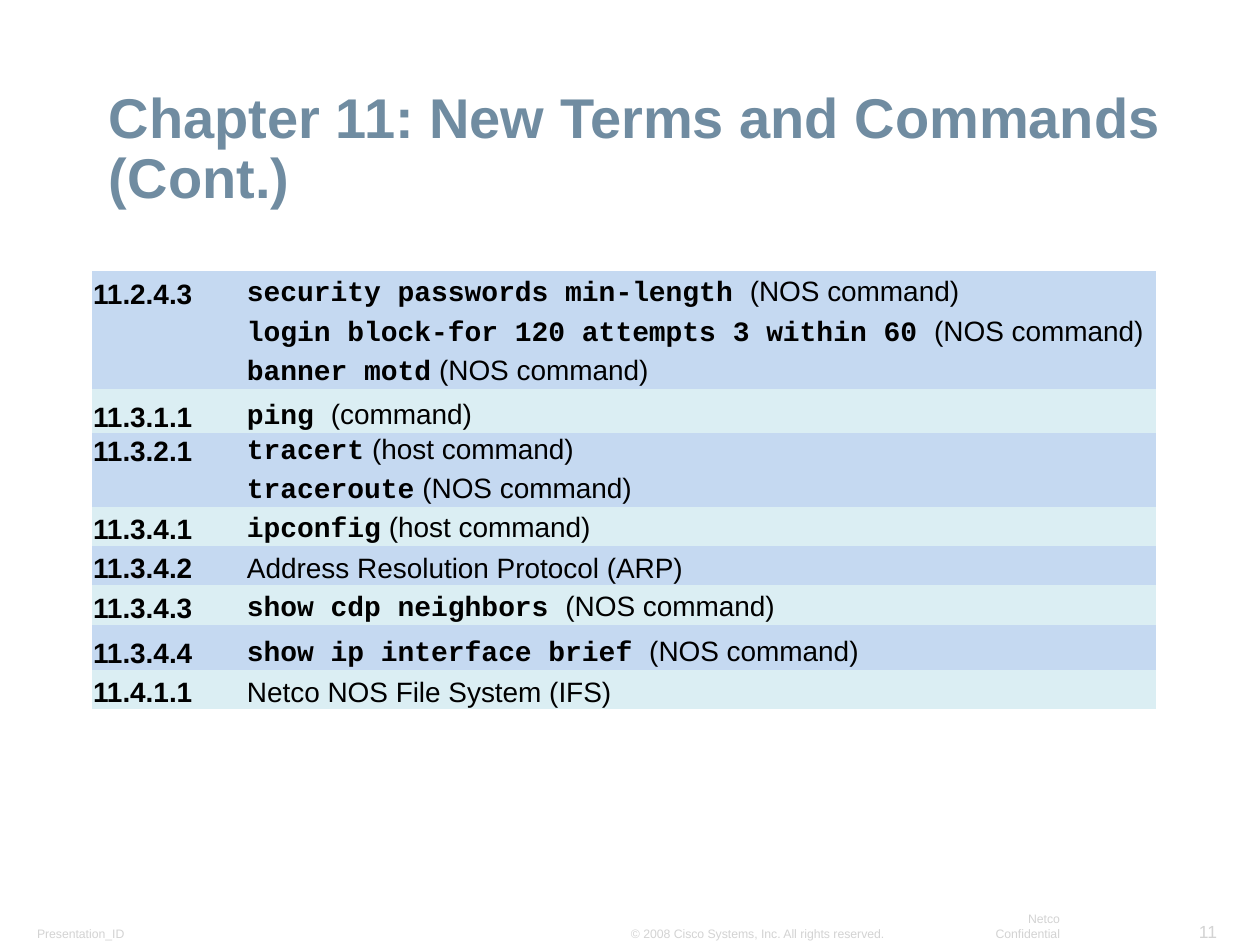
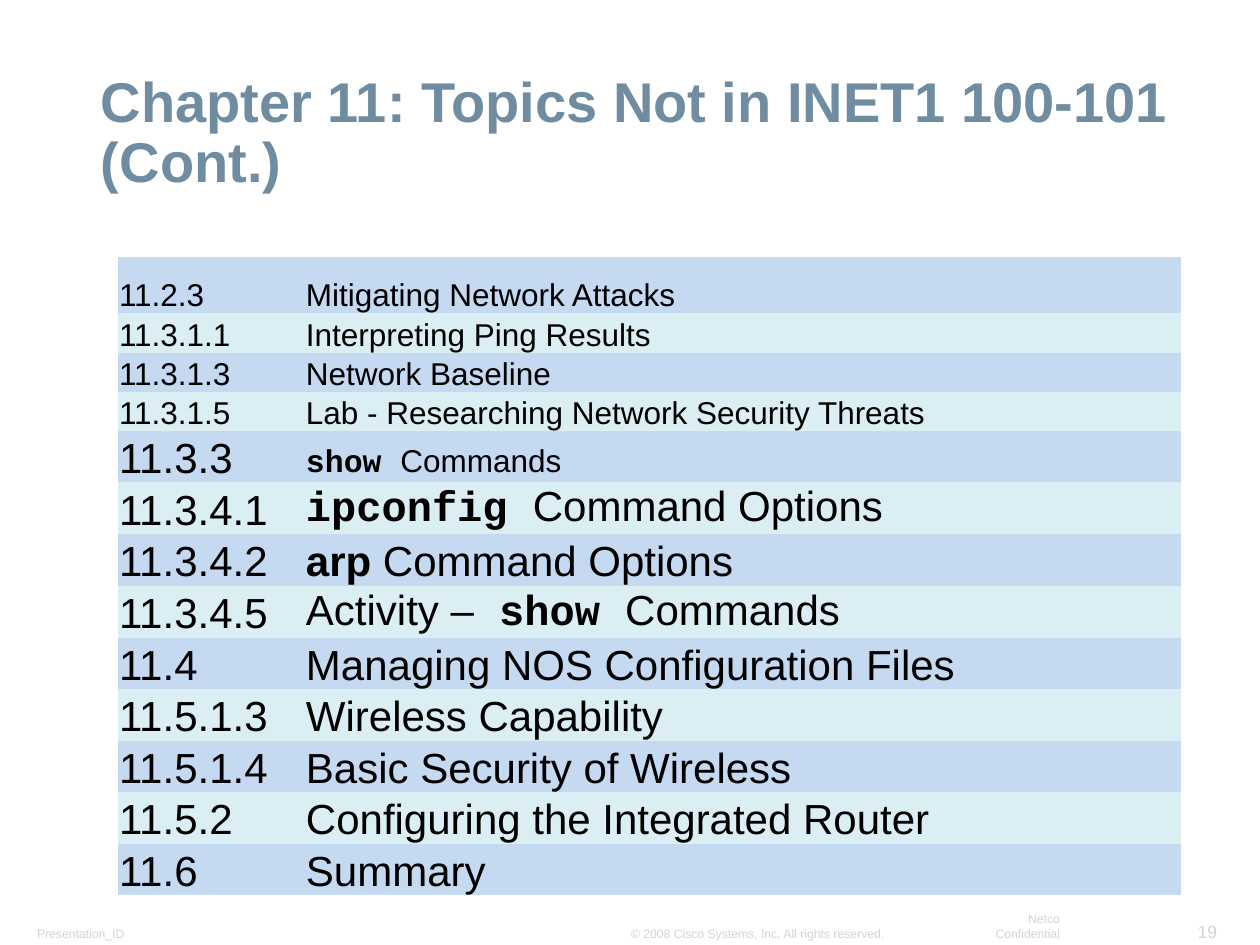
from pptx import Presentation
from pptx.dml.color import RGBColor
from pptx.enum.text import MSO_ANCHOR, PP_ALIGN
from pptx.oxml.ns import qn
from pptx.util import Emu, Pt

PX_PER_INCH = 126
BOTTOM = MSO_ANCHOR.BOTTOM
LEFT, RIGHT = PP_ALIGN.LEFT, PP_ALIGN.RIGHT

TITLE_BLUE = RGBColor(0x70, 0x8C, 0xA1)
FOOTER_GREY = RGBColor(0xD3, 0xD3, 0xD3)
BLACK = RGBColor(0, 0, 0)
BANDS = (RGBColor(0xC5, 0xD9, 0xF1), RGBColor(0xDB, 0xEE, 0xF3))

SANS, MONO = "Arial", "Courier New"
NO_STYLE_NO_GRID = "{2D5ABB26-0587-4C30-8999-92F81FD0307C}"


def px(length):
    return Emu(round(length * 914400 / PX_PER_INCH))


# Spans of cell text: (text, font name, bold)
def plain(text):
    return text, SANS, False


def bold(text):
    return text, SANS, True


def code(text):
    return text, MONO, True


# Rows: (height, number span, number size, text size, text spans);
# a row without a number continues the band above it
def term_row(height, number, *spans):
    return height, bold(number), 16, 16, spans


def topic_row(height, number, size, *spans, text_size=None):
    return height, plain(number), size, text_size or size, spans


TERMS = [
    term_row(39, "11.2.4.3", code("security passwords min-length "), plain("(NOS command)")),
    term_row(40, "", code("login block-for 120 attempts 3 within 60 "),
             plain("(NOS command)")),
    term_row(39, "", code("banner motd"), plain(" (NOS command)")),
    term_row(44, "11.3.1.1", code("ping "), plain("(command)")),
    term_row(35, "11.3.2.1", code("tracert"), plain(" (host command)")),
    term_row(39, "", code("traceroute"), plain(" (NOS command)")),
    term_row(39, "11.3.4.1", code("ipconfig"), plain(" (host command)")),
    term_row(39, "11.3.4.2", plain("Address Resolution Protocol (ARP)")),
    term_row(40, "11.3.4.3", code("show cdp neighbors "), plain("(NOS command)")),
    term_row(45, "11.3.4.4", code("show ip interface brief "), plain("(NOS command)")),
    term_row(39, "11.4.1.1", plain("Netco NOS File System (IFS)")),
]

TOPICS = [
    topic_row(56, "11.2.3", 18, plain("Mitigating Network Attacks")),
    topic_row(40, "11.3.1.1", 18, plain("Interpreting Ping Results")),
    topic_row(39, "11.3.1.3", 18, plain("Network Baseline")),
    topic_row(39, "11.3.1.5", 18, plain("Lab - Researching Network Security Threats")),
    topic_row(48, "11.3.3", 24, code("show "), plain("Commands"), text_size=18),
    topic_row(52, "11.3.4.1", 24, code("ipconfig "), plain("Command Options")),
    topic_row(48, "11.3.4.2", 24, bold("arp"), plain(" Command Options")),
    topic_row(52, "11.3.4.5", 24, plain("Activity –"), code(" show "), plain("Commands")),
    topic_row(48, "11.4", 24, plain("Managing NOS Configuration Files")),
    topic_row(48, "11.5.1.3", 24, plain("Wireless Capability")),
    topic_row(48, "11.5.1.4", 24, plain("Basic Security of Wireless")),
    topic_row(48, "11.5.2", 24, plain("Configuring the Integrated Router")),
    topic_row(48, "11.6", 24, plain("Summary")),
]


def add_text(page, bounds, text, size, color, align=LEFT, wrap=True):
    box = page.shapes.add_textbox(*map(px, bounds))
    frame = box.text_frame
    frame.word_wrap = wrap
    frame.vertical_anchor = BOTTOM
    frame.margin_left = frame.margin_right = px(11)
    frame.margin_top = frame.margin_bottom = px(5)
    para = frame.paragraphs[0]
    para.text = text
    para.alignment = align
    para.font.name = SANS
    para.font.size = Pt(size)
    para.font.color.rgb = color
    return para


def add_title(page, left, top, text):
    para = add_text(page, (left, top, 1123, 116), text, 32, TITLE_BLUE)
    para.font.bold = True
    para.line_spacing = 0.9


def add_footer(page, number):
    add_text(page, (26, 920, 132, 26), "Presentation_ID", 7, FOOTER_GREY)
    add_text(page, (1184, 914, 44, 33), str(number), 10, FOOTER_GREY, RIGHT, wrap=False)
    add_text(page, (620, 920, 278, 26), "© 2008 Cisco Systems, Inc. All rights reserved.",
             7, FOOTER_GREY, wrap=False)
    add_text(page, (950, 920, 121, 26), "Netco Confidential", 7, FOOTER_GREY, RIGHT, wrap=False)


def fill_cell(cell, spans, size, band):
    cell.fill.solid()
    cell.fill.fore_color.rgb = band
    cell.vertical_anchor = BOTTOM
    cell.margin_left = cell.margin_right = cell.margin_top = px(1)
    cell.margin_bottom = 0
    para = cell.text_frame.paragraphs[0]
    para.font.size = Pt(size)
    para.font.color.rgb = BLACK
    for text, font_name, is_bold in spans:
        span = para.add_run()
        span.text = text
        span.font.name = font_name
        span.font.bold = is_bold


def add_banded_table(page, left, top, column_widths, rows):
    height = sum(row[0] for row in rows)
    frame = page.shapes.add_table(len(rows), len(column_widths), px(left), px(top),
                                  px(sum(column_widths)), px(height))
    table = frame.table
    table.first_row = table.horz_banding = False
    for style in frame.element.iter(qn("a:tableStyleId")):
        style.text = NO_STYLE_NO_GRID
    for column, width in zip(table.columns, column_widths):
        column.width = px(width)

    band_index = -1
    for index, (row_height, number, number_size, text_size, spans) in enumerate(rows):
        table.rows[index].height = px(row_height)
        has_number = bool(number[0])
        band_index += has_number
        band = BANDS[band_index % 2]
        fill_cell(table.cell(index, 0), [number] if has_number else [], number_size, band)
        fill_cell(table.cell(index, 1), spans, text_size, band)


def main():
    deck = Presentation()
    deck.slide_width, deck.slide_height = px(1260), px(945)
    blank = deck.slide_layouts[6]

    # New terms and commands
    page = deck.slides.add_slide(blank)
    add_footer(page, 11)
    add_title(page, 98, 100, "Chapter 11: New Terms and Commands (Cont.)")
    add_banded_table(page, 92, 271, (154, 910), TERMS)

    # Topics outside the exam
    page = deck.slides.add_slide(blank)
    add_footer(page, 19)
    add_title(page, 90, 84, "Chapter 11: Topics Not in INET1 100-101 (Cont.)")
    add_banded_table(page, 118, 257, (187, 876), TOPICS)

    deck.save("out.pptx")


if __name__ == "__main__":
    main()
